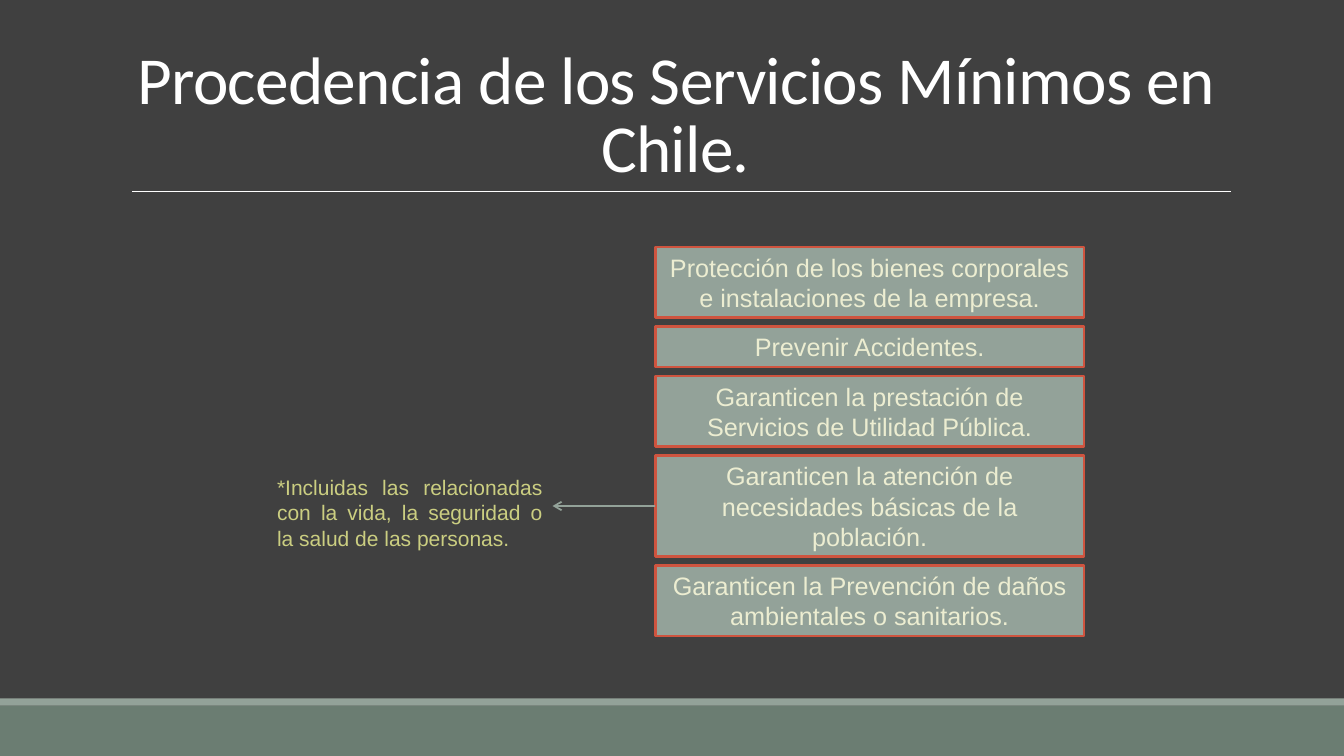
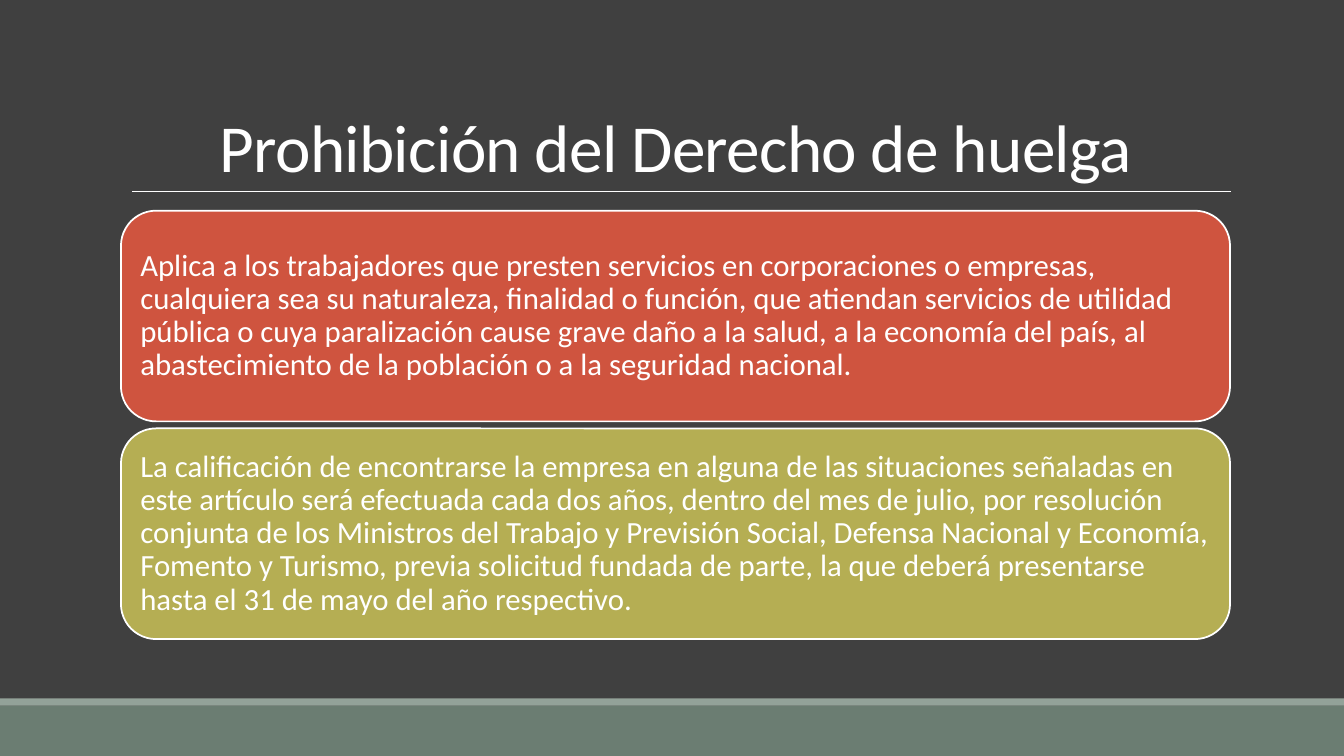
from lxml import etree
from pptx import Presentation
from pptx.dml.color import RGBColor
from pptx.enum.shapes import MSO_CONNECTOR, MSO_SHAPE
from pptx.enum.text import MSO_ANCHOR, PP_ALIGN
from pptx.oxml.ns import qn
from pptx.util import Inches, Pt

RECT, ROUNDED = MSO_SHAPE.RECTANGLE, MSO_SHAPE.ROUNDED_RECTANGLE
STRAIGHT = MSO_CONNECTOR.STRAIGHT
LEFT, CENTER, JUSTIFY = PP_ALIGN.LEFT, PP_ALIGN.CENTER, PP_ALIGN.JUSTIFY
TOP, MIDDLE, BOTTOM = MSO_ANCHOR.TOP, MSO_ANCHOR.MIDDLE, MSO_ANCHOR.BOTTOM

# Content
SERVICES_TITLE = "Procedencia de los Servicios Mínimos en Chile."
SERVICES = [  # text, number of lines
    ("Protección de los bienes corporales e instalaciones de la empresa.", 2),
    ("Prevenir Accidentes.", 1),
    ("Garanticen la prestación de Servicios de Utilidad Pública.", 2),
    ("Garanticen la atención de necesidades básicas de la población.", 3),
    ("Garanticen la Prevención de daños ambientales o sanitarios.", 2),
]
NOTED_SERVICE = 3
NOTE = ("*Incluidas las relacionadas con la vida, la seguridad o la salud "
        "de las personas.")
STRIKE_TITLE = "Prohibición del Derecho de huelga"
STRIKE_RULES = [
    ("Aplica a los trabajadores que presten servicios en corporaciones o "
     "empresas, cualquiera sea su naturaleza, finalidad o función, que atiendan "
     "servicios de utilidad pública o cuya paralización cause grave daño a la "
     "salud, a la economía del país, al abastecimiento de la población o a la "
     "seguridad nacional.", "red"),
    ("La calificación de encontrarse la empresa en alguna de las situaciones "
     "señaladas en este artículo será efectuada cada dos años, dentro del mes "
     "de julio, por resolución conjunta de los Ministros del Trabajo y Previsión "
     "Social, Defensa Nacional y Economía, Fomento y Turismo, previa solicitud "
     "fundada de parte, la que deberá presentarse hasta el 31 de mayo del año "
     "respectivo.", "olive"),
]

# Shared look
COLORS = {
    "background": "404040", "band": "6B7D72", "sage": "93A299",
    "white": "FFFFFF", "red": "CF543F", "olive": "B5AE53",
    "cream": "ECEDD1", "lime": "CBCE81",
}
HEADING_FONT, BODY_FONT = "Calibri", "Arial"
WIDTH, HEIGHT = 13.33, 7.5
MARGIN, CONTENT_WIDTH = 1.2, 11
BAND_TOP, STRIPE_HEIGHT = 7, 0.07
TITLE_TOP, RULE_TOP = 0.31, 1.9


def color(name):
    return RGBColor.from_string(COLORS[name])


def add_box(page, kind, left, top, width, height, fill, line=None, weight=1):
    box = page.shapes.add_shape(
        kind, Inches(left), Inches(top), Inches(width), Inches(height))
    box.shadow.inherit = False
    box.fill.solid()
    box.fill.fore_color.rgb = color(fill)
    if line:
        box.line.color.rgb = color(line)
        box.line.width = Pt(weight)
    else:
        box.line.fill.background()
    return box


def add_text_box(page, left, top, width, height):
    return page.shapes.add_textbox(
        Inches(left), Inches(top), Inches(width), Inches(height))


def write(box, text, font, size, ink, align, anchor, spacing=1.0):
    frame = box.text_frame
    frame.word_wrap = True
    frame.vertical_anchor = anchor
    para = frame.paragraphs[0]
    para.alignment = align
    para.line_spacing = spacing
    span = para.add_run()
    span.text = text
    span.font.name = font
    span.font.size = Pt(size)
    span.font.color.rgb = color(ink)
    return span


def add_line(page, start, end, ink, weight, arrow=False):
    line = page.shapes.add_connector(
        STRAIGHT, *(Inches(value) for value in (*start, *end)))
    line.line.color.rgb = color(ink)
    line.line.width = Pt(weight)
    if arrow:
        outline = line.line._get_or_add_ln()
        etree.SubElement(outline, qn("a:tailEnd"), type="arrow")
    etree.SubElement(line._element.spPr, qn("a:effectLst"))


def add_page(deck, title):
    page = deck.slides.add_slide(deck.slide_layouts[6])
    page.background.fill.solid()
    page.background.fill.fore_color.rgb = color("background")
    # Bottom bands and title rule
    add_box(page, RECT, 0, BAND_TOP, WIDTH, HEIGHT - BAND_TOP, "band")
    add_box(page, RECT, 0, BAND_TOP - STRIPE_HEIGHT, WIDTH, STRIPE_HEIGHT, "sage")
    add_line(page, (1.31, RULE_TOP), (12.21, RULE_TOP), "white", 0.5)
    # Title
    box = add_text_box(page, MARGIN, TITLE_TOP, CONTENT_WIDTH, RULE_TOP - TITLE_TOP)
    span = write(box, title, HEADING_FONT, 48, "white", CENTER, BOTTOM, 0.85)
    span.font._element.set("spc", "-50")
    return page


def build_services(deck):
    page = add_page(deck, SERVICES_TITLE)
    left, top, width = 6.5, 2.45, 4.25
    line_height, padding, gap = 0.3, 0.1, 0.09
    note_left, note_width, note_height = 2.65, 2.83, 0.86
    for index, (text, lines) in enumerate(SERVICES):
        height = lines * line_height + padding
        box = add_box(page, RECT, left, top, width, height, "sage", "red", 1.75)
        write(box, text, BODY_FONT, 18, "cream", CENTER, MIDDLE)
        if index == NOTED_SERVICE:
            # Side note with its arrow
            middle = top + height / 2
            add_line(page, (left, middle), (note_left + note_width, middle),
                     "sage", 1.25, arrow=True)
            note = add_text_box(page, note_left, middle - 0.36,
                                note_width, note_height)
            write(note, NOTE, BODY_FONT, 15, "lime", JUSTIFY, TOP)
        top += height + gap


def build_strike(deck):
    page = add_page(deck, STRIKE_TITLE)
    top, height, gap = 2.09, 2.09, 0.07
    for index, (text, fill) in enumerate(STRIKE_RULES):
        box = add_box(page, ROUNDED, MARGIN, top + index * (height + gap),
                      CONTENT_WIDTH, height, fill, "white", 1.25)
        frame = box.text_frame
        frame.margin_left = frame.margin_right = Inches(0.09)
        frame.margin_top = frame.margin_bottom = Inches(0.09)
        write(box, text, HEADING_FONT, 22, "white", LEFT, MIDDLE, 0.9)


def main():
    deck = Presentation()
    deck.slide_width, deck.slide_height = Inches(WIDTH), Inches(HEIGHT)
    build_services(deck)
    build_strike(deck)
    deck.save("out.pptx")


if __name__ == "__main__":
    main()
